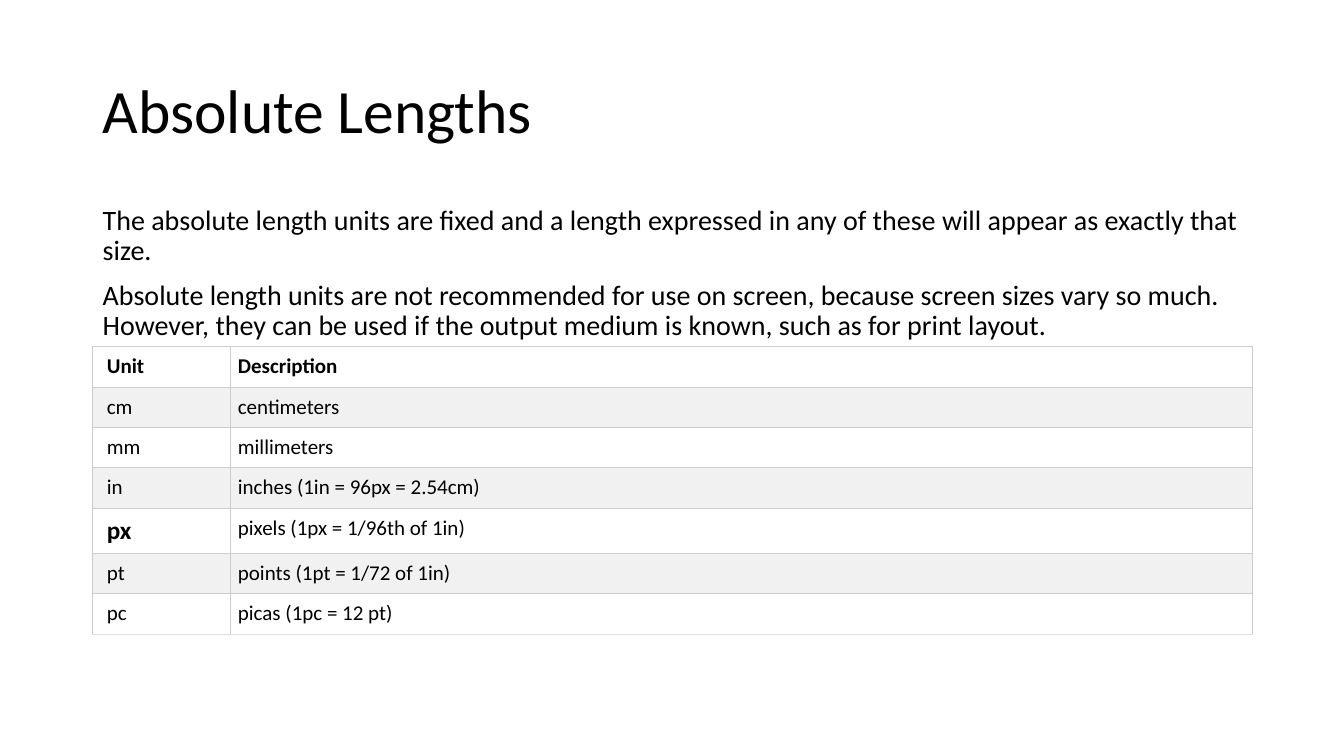
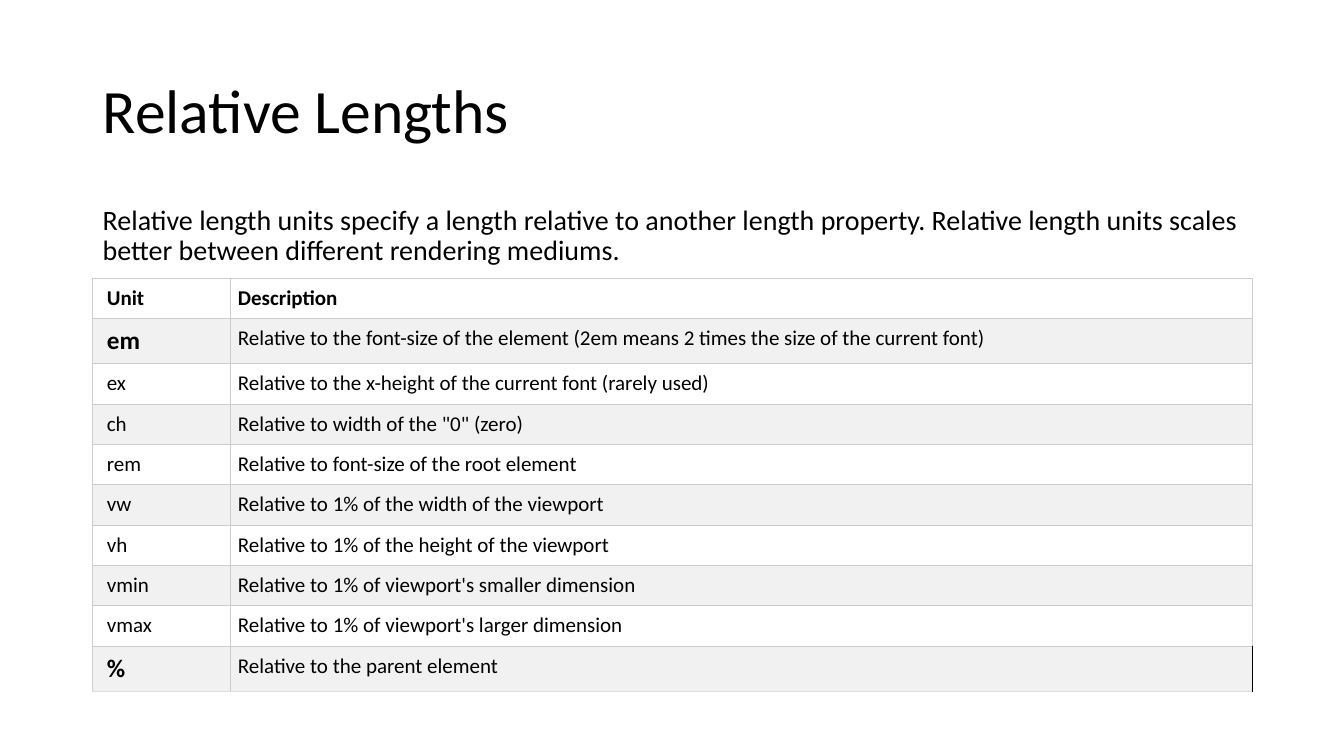
"""Build two slides on absolute and relative CSS length units."""
from lxml import etree
from pptx import Presentation
from pptx.dml.color import RGBColor
from pptx.enum.text import MSO_ANCHOR as Anchor
from pptx.oxml.ns import qn
from pptx.util import Inches, Pt

INK, GRID, BOTTOM, BAND, PAPER = "000000", "CCCCCC", "DDDDDD", "F1F1F1", "FFFFFF"
LEFT, WIDTH, UNIT_WIDTH = 0.92, 11.5, 1.37
ROW, KEY_ROW = 0.4, 0.45


def style(paragraph, size, bold=False):
    """Set the shared font with the given size and weight."""
    font = paragraph.font
    font.name, font.size, font.bold = "Calibri", Pt(size), bold
    font.color.rgb = RGBColor.from_string(INK)


def rule_cell(cell, edges):
    """Draw the left, right, top and bottom borders of a cell."""
    properties = cell._tc.get_or_add_tcPr()
    for place, (side, color) in enumerate(zip("LRTB", edges)):
        line = etree.Element(qn(f"a:ln{side}"), w=str(Pt(0.75)))
        fill = etree.SubElement(line, qn("a:solidFill"))
        etree.SubElement(fill, qn("a:srgbClr"), val=color)
        properties.insert(place, line)


topics = [
    ("Absolute Lengths", [
        "The absolute length units are fixed and a length expressed in any of these "
        "will appear as exactly that size.",
        "Absolute length units are not recommended for use on screen, because screen "
        "sizes vary so much. However, they can be used if the output medium is known, "
        "such as for print layout.",
    ], 3.44, GRID, [
        ("cm", "centimeters"),
        ("mm", "millimeters"),
        ("in", "inches (1in = 96px = 2.54cm)"),
        ("px", "pixels (1px = 1/96th of 1in)"),
        ("pt", "points (1pt = 1/72 of 1in)"),
        ("pc", "picas (1pc = 12 pt)"),
    ]),
    ("Relative Lengths", [
        "Relative length units specify a length relative to another length property. "
        "Relative length units scales better between different rendering mediums.",
    ], 2.76, INK, [
        ("em", "Relative to the font-size of the element "
               "(2em means 2 times the size of the current font)"),
        ("ex", "Relative to the x-height of the current font (rarely used)"),
        ("ch", 'Relative to width of the "0" (zero)'),
        ("rem", "Relative to font-size of the root element"),
        ("vw", "Relative to 1% of the width of the viewport"),
        ("vh", "Relative to 1% of the height of the viewport"),
        ("vmin", "Relative to 1% of viewport's smaller dimension"),
        ("vmax", "Relative to 1% of viewport's larger dimension"),
        ("%", "Relative to the parent element"),
    ]),
]
key_units = {"px", "em", "%"}

deck = Presentation()
deck.slide_width, deck.slide_height = Inches(13.33), Inches(7.5)

for title, intro, table_top, last_edge, units in topics:
    slide = deck.slides.add_slide(deck.slide_layouts[6])

    for top, height, anchor, size, before, lines in (
        (0.4, 1.45, Anchor.MIDDLE, 44, 0, [title]),
        (2, 4.76, Anchor.TOP, 20, 10, intro),
    ):
        frame = slide.shapes.add_textbox(
            Inches(LEFT), Inches(top), Inches(WIDTH), Inches(height)).text_frame
        frame.word_wrap, frame.vertical_anchor = True, anchor
        frame.text = "\n".join(lines)
        for paragraph in frame.paragraphs:
            paragraph.line_spacing, paragraph.space_before = 0.9, Pt(before)
            style(paragraph, size)

    rows = [("Unit", "Description")] + units
    heights = [KEY_ROW if unit in key_units else ROW for unit, _ in rows]
    table = slide.shapes.add_table(
        len(rows), 2, Inches(LEFT), Inches(table_top),
        Inches(WIDTH), Inches(sum(heights))).table
    table.first_row = table.horz_banding = False
    table.columns[0].width = Inches(UNIT_WIDTH)
    table.columns[1].width = Inches(WIDTH - UNIT_WIDTH)

    for r, (entry, height) in enumerate(zip(rows, heights)):
        table.rows[r].height = Inches(height)
        is_last = r == len(rows) - 1
        for c, text in enumerate(entry):
            cell = table.cell(r, c)
            cell.text = text
            cell.margin_left = Inches(0.07 if c else 0.14)
            cell.margin_right = cell.margin_top = cell.margin_bottom = Inches(0.07)
            cell.fill.solid()
            cell.fill.fore_color.rgb = RGBColor.from_string(BAND if r % 2 else PAPER)
            is_key = text in key_units
            style(cell.text_frame.paragraphs[0], 18 if is_key else 15, is_key or r == 0)
            rule_cell(cell, (GRID, last_edge if is_last and c else GRID,
                             GRID, BOTTOM if is_last else GRID))

deck.save("out.pptx")
